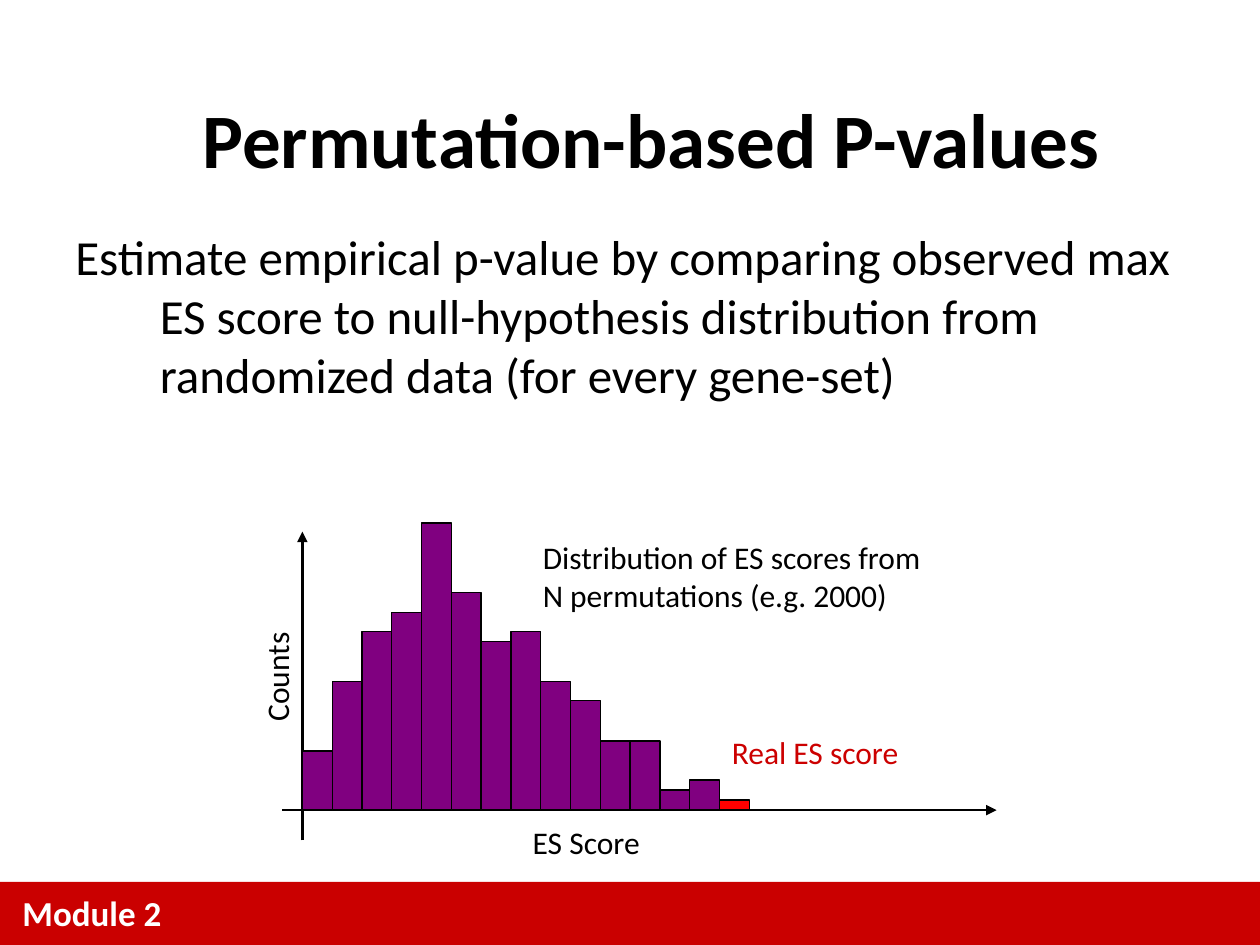
from lxml import etree
from pptx import Presentation
from pptx.dml.color import RGBColor
from pptx.enum.shapes import MSO_CONNECTOR, MSO_SHAPE
from pptx.enum.text import MSO_ANCHOR, PP_ALIGN
from pptx.oxml.ns import qn
from pptx.util import Inches, Pt

STRAIGHT = MSO_CONNECTOR.STRAIGHT
RECTANGLE = MSO_SHAPE.RECTANGLE
TOP, MIDDLE = MSO_ANCHOR.TOP, MSO_ANCHOR.MIDDLE
LEFT, CENTER = PP_ALIGN.LEFT, PP_ALIGN.CENTER

BLACK = RGBColor(0x00, 0x00, 0x00)
WHITE = RGBColor(0xFF, 0xFF, 0xFF)
FOOTER_RED = RGBColor(0xCA, 0x00, 0x00)
LABEL_RED = RGBColor(0xCC, 0x00, 0x00)
BAR_RED = RGBColor(0xFF, 0x00, 0x00)
PURPLE = RGBColor(0x80, 0x00, 0x80)

ORIGIN_X, ORIGIN_Y = 2.4, 6.43
BAR_WIDTH = 3.31 / 14
PERMUTED_HEIGHTS = [0.47, 1.02, 1.42, 1.57, 2.28, 1.73, 1.34,
                    1.42, 1.02, 0.87, 0.55, 0.55, 0.16, 0.24]
REAL_HEIGHT = 0.08


def add_rectangle(slide, box, fill, outline=None):
    rectangle = slide.shapes.add_shape(RECTANGLE, *map(Inches, box))
    rectangle.shadow.inherit = False
    rectangle.fill.solid()
    rectangle.fill.fore_color.rgb = fill
    if outline is None:
        rectangle.line.fill.background()
    else:
        rectangle.line.color.rgb = outline
        rectangle.line.width = Pt(0.75)


def add_run(paragraph, text, color=BLACK, **font_format):
    run = paragraph.add_run()
    run.text = text
    font_values = {"name": "Calibri", "size": Pt(18), "bold": False, **font_format}
    for attribute, value in font_values.items():
        setattr(run.font, attribute, value)
    run.font.color.rgb = color


def add_text(slide, box, lines, align=LEFT, anchor=TOP, rotation=0, **run_format):
    """Add a text box with one paragraph per line and return its text frame."""
    text_box = slide.shapes.add_textbox(*map(Inches, box))
    text_box.rotation = rotation
    frame = text_box.text_frame
    frame.word_wrap = True
    frame.vertical_anchor = anchor
    for index, line in enumerate(lines):
        paragraph = frame.paragraphs[0] if index == 0 else frame.add_paragraph()
        paragraph.alignment = align
        add_run(paragraph, line, **run_format)
    return frame


def add_axis(slide, start, end):
    """Draw an axis with its arrowhead at the end point."""
    axis = slide.shapes.add_connector(STRAIGHT, *map(Inches, start + end))
    axis.line.color.rgb = BLACK
    axis.line.width = Pt(1.5)
    etree.SubElement(axis.line._get_or_add_ln(), qn("a:tailEnd"), type="triangle")
    etree.SubElement(axis._element.spPr, qn("a:effectLst"))


def add_footer(slide):
    add_rectangle(slide, (0, 7, 10, 0.5), FOOTER_RED)
    add_text(slide, (0.08, 7.03, 7.33, 0.43), ["Module 2"],
             color=WHITE, size=Pt(20), bold=True)


def add_statement(slide):
    statement = add_text(
        slide, (0.5, 1.75, 9, 4.95),
        ["Estimate empirical p-value by comparing observed max ES score to "
         "null-hypothesis distribution from randomized data (for every gene-set)"],
        size=Pt(28))
    properties = statement.paragraphs[0]._p.get_or_add_pPr()
    properties.set("marL", str(Inches(0.67)))
    properties.set("indent", str(-Inches(0.67)))


def add_histogram(slide):
    add_axis(slide, (ORIGIN_X, 6.67), (ORIGIN_X, 4.22))
    add_axis(slide, (2.24, ORIGIN_Y), (7.91, ORIGIN_Y))
    bars = [(height, PURPLE) for height in PERMUTED_HEIGHTS] + [(REAL_HEIGHT, BAR_RED)]
    for index, (height, fill) in enumerate(bars):
        left = ORIGIN_X + index * BAR_WIDTH
        add_rectangle(slide, (left, ORIGIN_Y - height, BAR_WIDTH, height), fill, BLACK)
    add_text(slide, (1.71, 5.14, 0.97, 0.4), ["Counts"], rotation=270)
    add_text(slide, (5.71, 5.77, 3.32, 0.4), ["Real ES score"], color=LABEL_RED)
    add_text(slide, (4.21, 4.22, 3.9, 0.71),
             ["Distribution of ES scores from", "N permutations (e.g. 2000)"])
    add_text(slide, (4.13, 6.48, 1.57, 0.4), ["ES Score"])


def main():
    presentation = Presentation()
    presentation.slide_width = Inches(10)
    presentation.slide_height = Inches(7.5)
    slide = presentation.slides.add_slide(presentation.slide_layouts[6])
    add_footer(slide)
    add_statement(slide)
    add_histogram(slide)
    add_text(slide, (0.67, 0.47, 9, 1.25), ["Permutation-based P-values"],
             align=CENTER, anchor=MIDDLE, size=Pt(44), bold=True)
    presentation.save("out.pptx")


if __name__ == "__main__":
    main()
